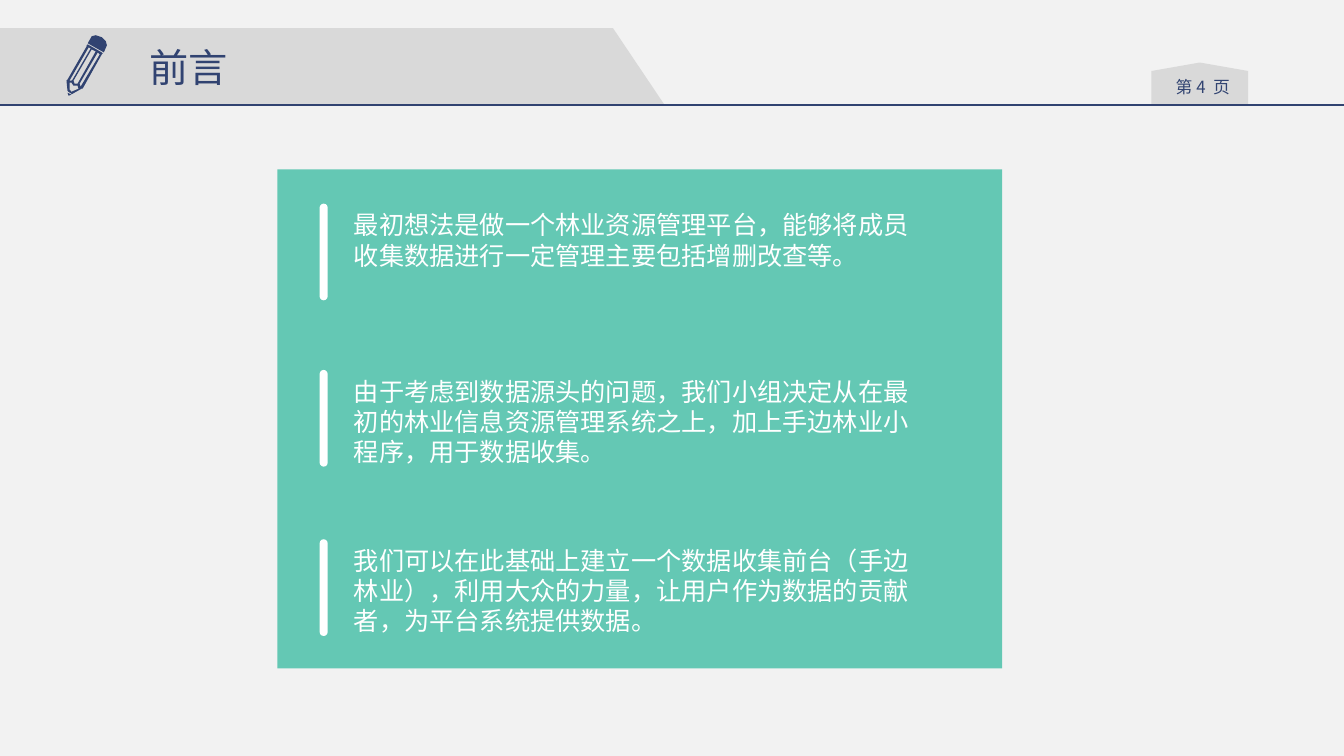
"""Build the foreword slide with its header band and three statements."""
from lxml import etree
from pptx import Presentation
from pptx import util as u
from pptx.dml.color import RGBColor
from pptx.enum import shapes, text
from pptx.oxml.ns import qn

PX = u.Inches(0.01)
WIDTH, HEIGHT = 1333, 750
FONT = "Noto Sans CJK SC"
COLOURS = {"paper": "F2F2F2", "band": "D9D9D9", "navy": "314371",
           "green": "64C8B4", "white": "FFFFFF"}
STATEMENTS = [
    (202, "最初想法是做一个林业资源管理平台，能够将成员收集数据进行一定管理主要包括增删改查等。"),
    (367, "由于考虑到数据源头的问题，我们小组决定从在最初的林业信息资源管理系统之上，"
          "加上手边林业小程序，用于数据收集。"),
    (535, "我们可以在此基础上建立一个数据收集前台（手边林业），利用大众的力量，"
          "让用户作为数据的贡献者，为平台系统提供数据。"),
]
BAND = [[(0, 28), (608, 28), (659, 104), (0, 104)]]
ERASER = [[(91, 36), (95, 35), (101, 37), (105, 41), (106, 45), (103, 52), (87, 43)]]
PENCIL_BODY = [
    [(66, 80), (67, 90), (68, 91), (71, 93), (72, 93), (81, 88), (82, 88), (101, 54),
     (102, 53), (101, 52), (87, 44), (86, 45), (86, 46), (67, 79)],
    [(69, 80), (88, 47), (90, 48), (72, 79), (71, 80)],
    [(71, 91), (69, 89), (69, 82), (71, 82), (73, 85), (77, 85), (78, 88)],
    [(73, 80), (91, 49), (95, 51), (77, 83), (74, 83)],
    [(80, 86), (79, 83), (97, 52), (99, 54)],
]
PENCIL_TIP = [[(71, 94), (67, 92), (68, 95)]]


def rgb(name):
    """Return the named colour."""
    return RGBColor.from_string(COLOURS[name])


def set_all(target, values):
    """Set every attribute in a dict of format values."""
    for name, value in values.items():
        setattr(target, name, value)


def paint(shape, colour):
    """Give a shape a plain fill without line or shadow."""
    shape.shadow.inherit = False
    shape.fill.solid()
    shape.fill.fore_color.rgb = rgb(colour)
    shape.line.fill.background()


def add_block(page, kind, frame, colour):
    """Add a plain preset shape."""
    block = page.shapes.add_shape(kind, *(n * PX for n in frame))
    paint(block, colour)
    return block


def add_outline(parent, contours, colour):
    """Add a filled outline made of closed contours."""
    first, *holes = contours
    builder = parent.shapes.build_freeform(*first[0], scale=PX)
    builder.add_line_segments(first[1:])
    for hole in holes:
        builder.move_to(*hole[0])
        builder.add_line_segments(hole[1:])
    paint(builder.convert_to_shape(), colour)


def write(box, words, size, colour, align, insets, wrap=True):
    """Write one formatted paragraph in a box."""
    side, end = (n * PX for n in insets)
    set_all(box.text_frame, {
        "margin_left": side, "margin_right": side, "margin_top": end,
        "margin_bottom": end, "word_wrap": wrap, "auto_size": text.MSO_AUTO_SIZE.NONE,
        "vertical_anchor": text.MSO_ANCHOR.TOP})
    para = box.text_frame.paragraphs[0]
    para.alignment = align
    span = para.add_run()
    span.text = words
    set_all(span.font, {"name": FONT, "size": u.Pt(size)})
    span.font.color.rgb = rgb(colour)
    etree.SubElement(span.font._element, qn("a:ea")).set("typeface", FONT)


def add_text(page, frame, *style):
    """Add a text box with one paragraph."""
    write(page.shapes.add_textbox(*(n * PX for n in frame)), *style)


def add_rule(page, y, colour):
    """Draw a thin line across the page."""
    rule = page.shapes.add_connector(
        shapes.MSO_CONNECTOR.STRAIGHT, 0, y * PX, WIDTH * PX, y * PX)
    rule.line.width = u.Pt(1)
    rule.line.color.rgb = rgb(colour)
    etree.SubElement(rule._element.spPr, qn("a:effectLst"))


def add_title(page, words):
    """Fill the title placeholder and bring it to the front."""
    title = page.shapes.title
    set_all(title, {"left": 138 * PX, "top": 38 * PX, "width": 98 * PX, "height": 57 * PX})
    write(title, words, 28, "navy", text.PP_ALIGN.LEFT, (10, 5), False)
    page.shapes._spTree.append(title._element)


def add_header(page):
    """Add the band, page tab, rule, pencil and title."""
    add_outline(page, BAND, "band")
    tab = add_block(page, shapes.MSO_SHAPE.FLOWCHART_OFFPAGE_CONNECTOR,
                    (1142, 62, 96, 42), "band")
    tab.rotation = 180
    add_text(page, (1148, 72, 90, 30), "第 4  页", 12, "navy",
             text.PP_ALIGN.CENTER, (7, 4))
    add_rule(page, 104, "navy")
    pencil = page.shapes.add_group_shape()
    for contours in (ERASER, PENCIL_BODY, PENCIL_TIP):
        add_outline(pencil, contours, "navy")
    add_title(page, "前言")


def add_statement(page, top, words):
    """Add a statement with a rounded bar at its left."""
    add_text(page, (339, top, 595, 77), words, 18, "white",
             text.PP_ALIGN.LEFT, (12, 6))
    bar = add_block(page, shapes.MSO_SHAPE.ROUND_2_SAME_RECTANGLE,
                    (317, top, 8, 96), "white")
    for corner in range(2):
        bar.adjustments[corner] = 0.5


def main():
    """Build and save the deck."""
    deck = Presentation()
    set_all(deck, {"slide_width": WIDTH * PX, "slide_height": HEIGHT * PX})
    page = deck.slides.add_slide(deck.slide_layouts.get_by_name("Title Only"))
    page.background.fill.solid()
    page.background.fill.fore_color.rgb = rgb("paper")
    add_header(page)
    add_block(page, shapes.MSO_SHAPE.RECTANGLE, (275, 168, 719, 495), "green")
    for top, words in STATEMENTS:
        add_statement(page, top, words)
    deck.save("out.pptx")


if __name__ == "__main__":
    main()
